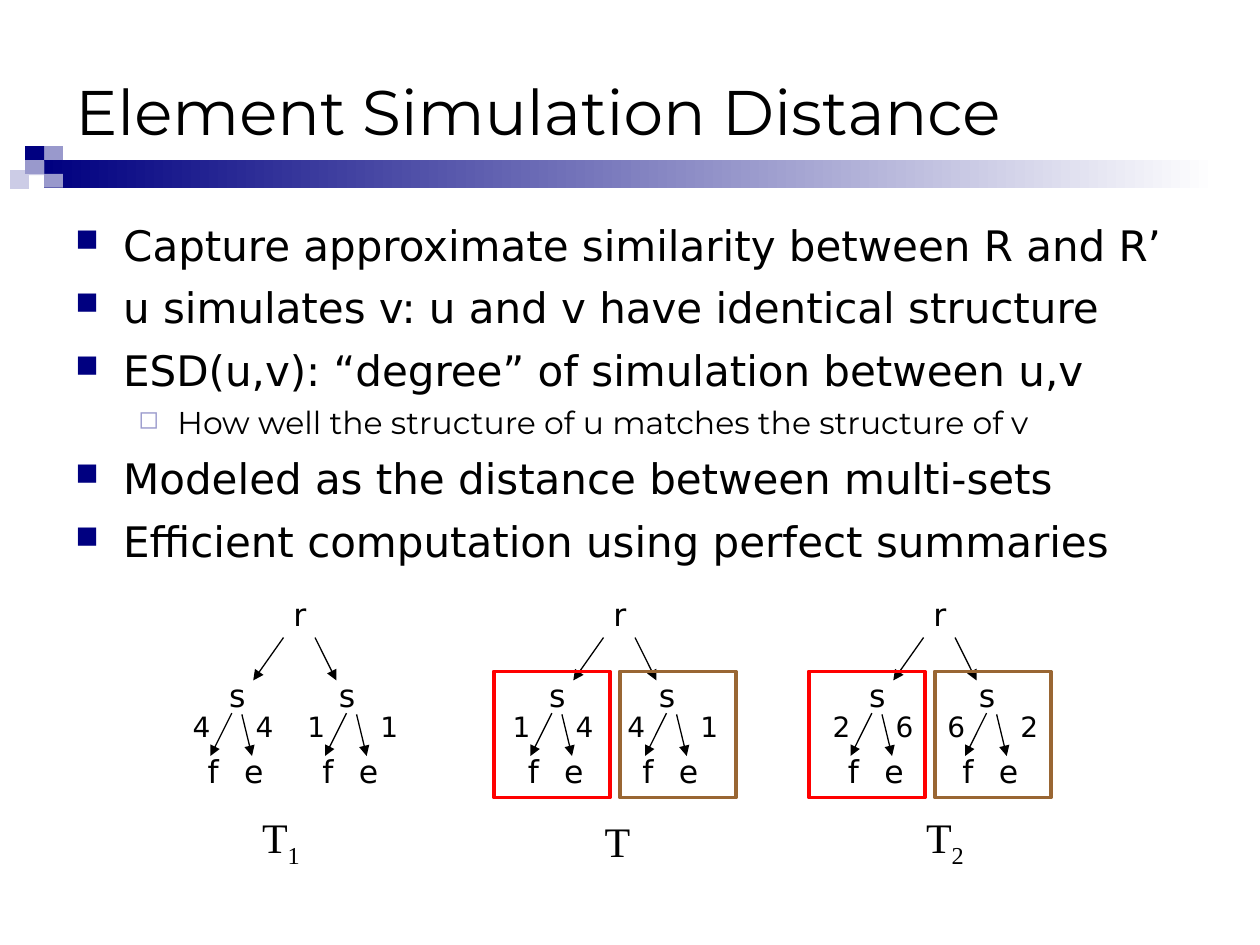
from lxml.etree import SubElement
from pptx import Presentation
from pptx.dml.color import RGBColor
from pptx.enum.shapes import MSO_CONNECTOR, MSO_SHAPE
from pptx.enum.text import MSO_ANCHOR, MSO_AUTO_SIZE, PP_ALIGN
from pptx.oxml.ns import qn
from pptx.util import Inches, Pt

BLACK = RGBColor(0x00, 0x00, 0x00)
WHITE = RGBColor(0xFF, 0xFF, 0xFF)
NAVY = RGBColor(0x00, 0x00, 0x80)
LAVENDER = RGBColor(0x99, 0x99, 0xCC)
PALE = RGBColor(0xCC, 0xCC, 0xE6)
RED = RGBColor(0xFF, 0x00, 0x00)
BROWN = RGBColor(0x99, 0x66, 0x33)

SANS = "DejaVu Sans"
DISPLAY = "Montserrat"
SERIF = "Times New Roman"

BULLETS = [
    (0, "Capture approximate similarity between R and R’"),
    (0, "u simulates v: u and v have identical structure"),
    (0, "ESD(u,v): “degree” of simulation between u,v"),
    (1, "How well the structure of u matches the structure of v"),
    (0, "Modeled as the distance between multi-sets"),
    (0, "Efficient computation using perfect summaries"),
]
LEVELS = [
    dict(font=DISPLAY and SANS, size=24, before=7, margin=0.38, hang=0.38,
         mark="■", color=NAVY, percent=75),
    dict(font=DISPLAY, size=18, before=4.5, margin=0.81, hang=0.31,
         mark="◻", color=LAVENDER, percent=80),
]
TREE_COUNTS = [("44", "11"), ("14", "41"), ("26", "62")]
TREE_LEFT, TREE_TOP, TREE_PITCH = 1.43, 4.67, 2.54


def style(font, name, size):
    """Give a font its face, size and black colour."""
    font.name, font.size, font.color.rgb = name, Pt(size), BLACK


def add_rect(slide, left, top, width, height):
    """Add a shadowless rectangle."""
    rect = slide.shapes.add_shape(MSO_SHAPE.RECTANGLE, Inches(left), Inches(top),
                                  Inches(width), Inches(height))
    rect.shadow.inherit = False
    return rect


def add_label(slide, left, top, width, height, text, size=18, font=SANS):
    """Add a short unwrapped label and return its shape."""
    label = slide.shapes.add_textbox(Inches(left), Inches(top), Inches(width), Inches(height))
    frame = label.text_frame
    frame.text = text
    frame.word_wrap = False
    frame.auto_size = MSO_AUTO_SIZE.SHAPE_TO_FIT_TEXT
    style(frame.paragraphs[0].runs[0].font, font, size)
    return label


def add_edge(slide, start, end):
    """Add a thin arrow from a parent to a child."""
    edge = slide.shapes.add_connector(MSO_CONNECTOR.STRAIGHT,
                                      *(Inches(value) for value in (*start, *end)))
    edge.line.color.rgb = BLACK
    edge.line.width = Pt(0.75)
    SubElement(edge.line._get_or_add_ln(), qn("a:tailEnd"), type="triangle")
    SubElement(edge._element.spPr, qn("a:effectLst"))


def add_banner(slide, left, top):
    """Draw the gradient bar and its cluster of squares."""
    bar = add_rect(slide, left + 0.27, top + 0.11, 9.31, 0.22)
    bar.fill.gradient()
    bar.fill.gradient_angle = 0
    for stop, color in zip(bar.fill.gradient_stops, (NAVY, WHITE)):
        stop.color.rgb = color
    bar.line.fill.background()
    for x, y, height, color in [
        (0.12, 0.12, 0.11, PALE), (0.27, 0, 0.11, LAVENDER), (0.12, 0, 0.11, NAVY),
        (0.27, 0.22, 0.11, LAVENDER), (0, 0.19, 0.15, PALE), (0.12, 0.11, 0.11, LAVENDER),
    ]:
        square = add_rect(slide, left + x, top + y, 0.15, height)
        square.fill.solid()
        square.fill.fore_color.rgb = color
        square.line.fill.background()


def add_title(slide, left, top, width, height):
    """Write the slide title."""
    title = slide.shapes.add_textbox(Inches(left), Inches(top), Inches(width), Inches(height))
    frame = title.text_frame
    frame.text = "Element Simulation Distance"
    frame.word_wrap = True
    frame.vertical_anchor = MSO_ANCHOR.MIDDLE
    style(frame.paragraphs[0].runs[0].font, DISPLAY, 36)


def add_bullets(slide, left, top, width, height):
    """Write the bulleted statements on two levels."""
    body = slide.shapes.add_textbox(Inches(left), Inches(top), Inches(width), Inches(height))
    frame = body.text_frame
    frame.word_wrap = True
    for index, (depth, text) in enumerate(BULLETS):
        level = LEVELS[depth]
        paragraph = frame.add_paragraph() if index else frame.paragraphs[0]
        paragraph.text = text
        paragraph.level = depth
        paragraph.space_before = Pt(level["before"] if index else 0)
        properties = paragraph._p.get_or_add_pPr()
        properties.set("marL", str(Inches(level["margin"])))
        properties.set("indent", str(-Inches(level["hang"])))
        color = SubElement(properties, qn("a:buClr"))
        SubElement(color, qn("a:srgbClr"), val=str(level["color"]))
        SubElement(properties, qn("a:buSzPct"), val=str(level["percent"] * 1000))
        SubElement(properties, qn("a:buChar"), char=level["mark"])
        style(paragraph.runs[0].font, level["font"], level["size"])


def add_subtree(slide, left, top, parent_x, right_count_x, counts):
    """Draw an s node with its f and e children and their counts."""
    add_label(slide, left + parent_x, top, 0.32, 0.4, "s")
    add_label(slide, left + 0.12, top + 0.6, 0.28, 0.4, "f")
    add_label(slide, left + 0.41, top + 0.6, 0.34, 0.4, "e")
    add_edge(slide, (left + 0.41, top + 0.34), (left + 0.24, top + 0.68))
    add_edge(slide, (left + 0.49, top + 0.35), (left + 0.57, top + 0.68))
    for x, count in zip((0, right_count_x), counts):
        add_label(slide, left + x, top + 0.26, 0.32, 0.37, count, 16)


def add_tree(slide, left, top, counts):
    """Draw an r root above its two subtrees."""
    add_label(slide, left + 0.8, top, 0.3, 0.4, "r")
    add_edge(slide, (left + 0.82, top + 0.39), (left + 0.58, top + 0.73))
    add_edge(slide, (left + 1.07, top + 0.39), (left + 1.24, top + 0.73))
    add_subtree(slide, left, top + 0.65, 0.29, 0.5, counts[0])
    add_subtree(slide, left + 0.91, top + 0.65, 0.25, 0.58, counts[1])


def add_tree_name(slide, left, top, width, height, subscript=""):
    """Name a tree T, with an optional subscript."""
    name = add_label(slide, left, top, width, height, "T", 24, SERIF)
    name.text_frame.vertical_anchor = MSO_ANCHOR.MIDDLE
    paragraph = name.text_frame.paragraphs[0]
    paragraph.alignment = PP_ALIGN.CENTER
    if subscript:
        run = paragraph.add_run()
        run.text = subscript
        style(run.font, SERIF, 24)
        run.font._element.set("baseline", "-25000")


def add_match_frames(slide, left, top):
    """Outline the paired subtrees in red and brown."""
    for color, shift in ((RED, 0), (BROWN, 1)):
        for tree_shift in (0, 2.5):
            outline = add_rect(slide, left + shift + tree_shift, top, 0.92, 1)
            outline.fill.background()
            outline.line.color.rgb = color
            outline.line.width = Pt(2.25)


def main():
    """Build and save the slide."""
    deck = Presentation()
    deck.slide_width, deck.slide_height = Inches(10), Inches(7.5)
    slide = deck.slides.add_slide(deck.slide_layouts[6])
    add_banner(slide, 0.08, 1.16)
    add_title(slide, 0.5, 0.25, 9, 1.25)
    add_bullets(slide, 0.5, 1.69, 9, 4.92)
    for index, counts in enumerate(TREE_COUNTS):
        add_tree(slide, TREE_LEFT + index * TREE_PITCH, TREE_TOP, counts)
    add_tree_name(slide, 1.98, 6.39, 0.5, 0.56, "1")
    add_tree_name(slide, 4.7, 6.42, 0.4, 0.5)
    add_tree_name(slide, 7.25, 6.39, 0.5, 0.56, "2")
    add_match_frames(slide, 3.92, 5.33)
    deck.save("out.pptx")


if __name__ == "__main__":
    main()
